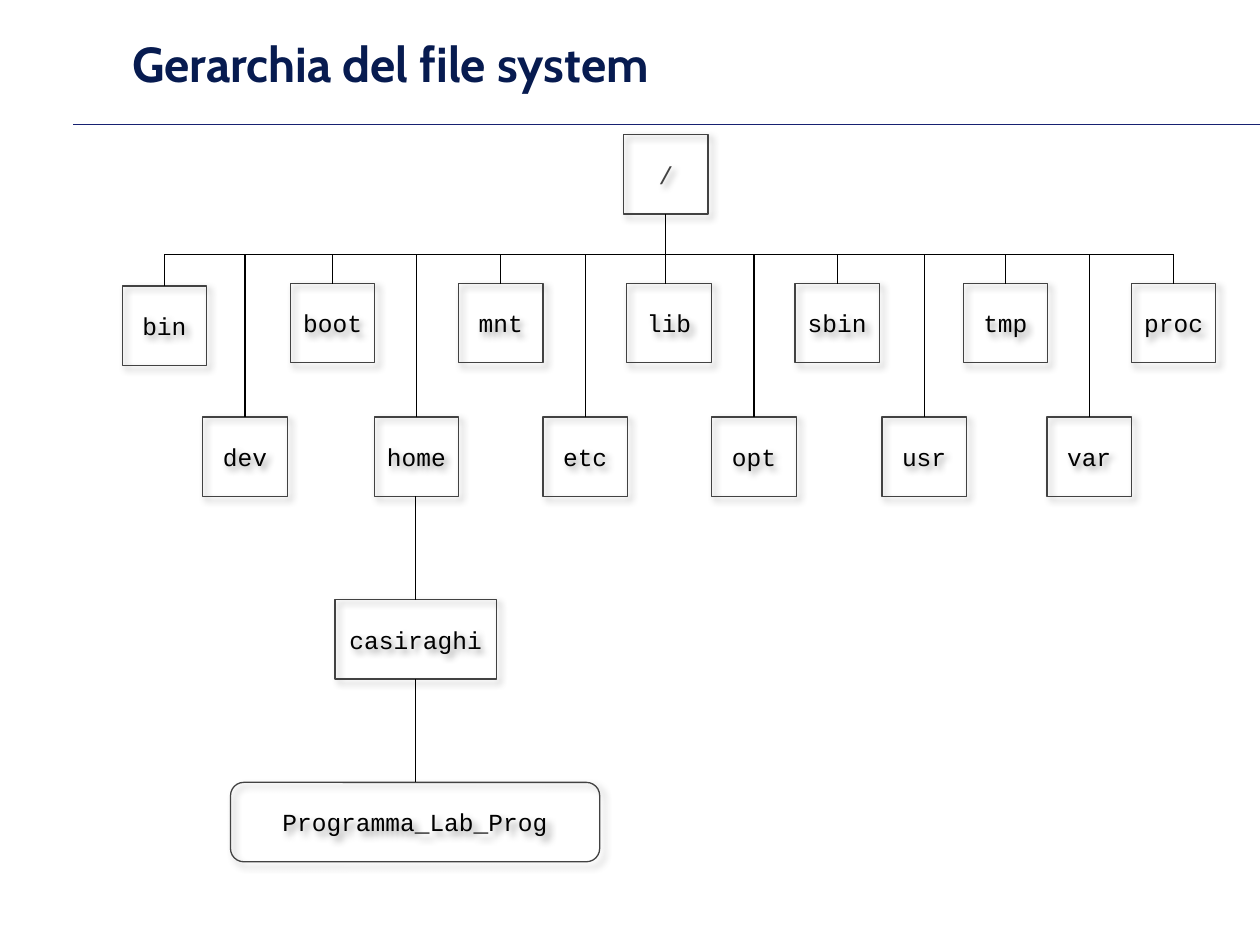
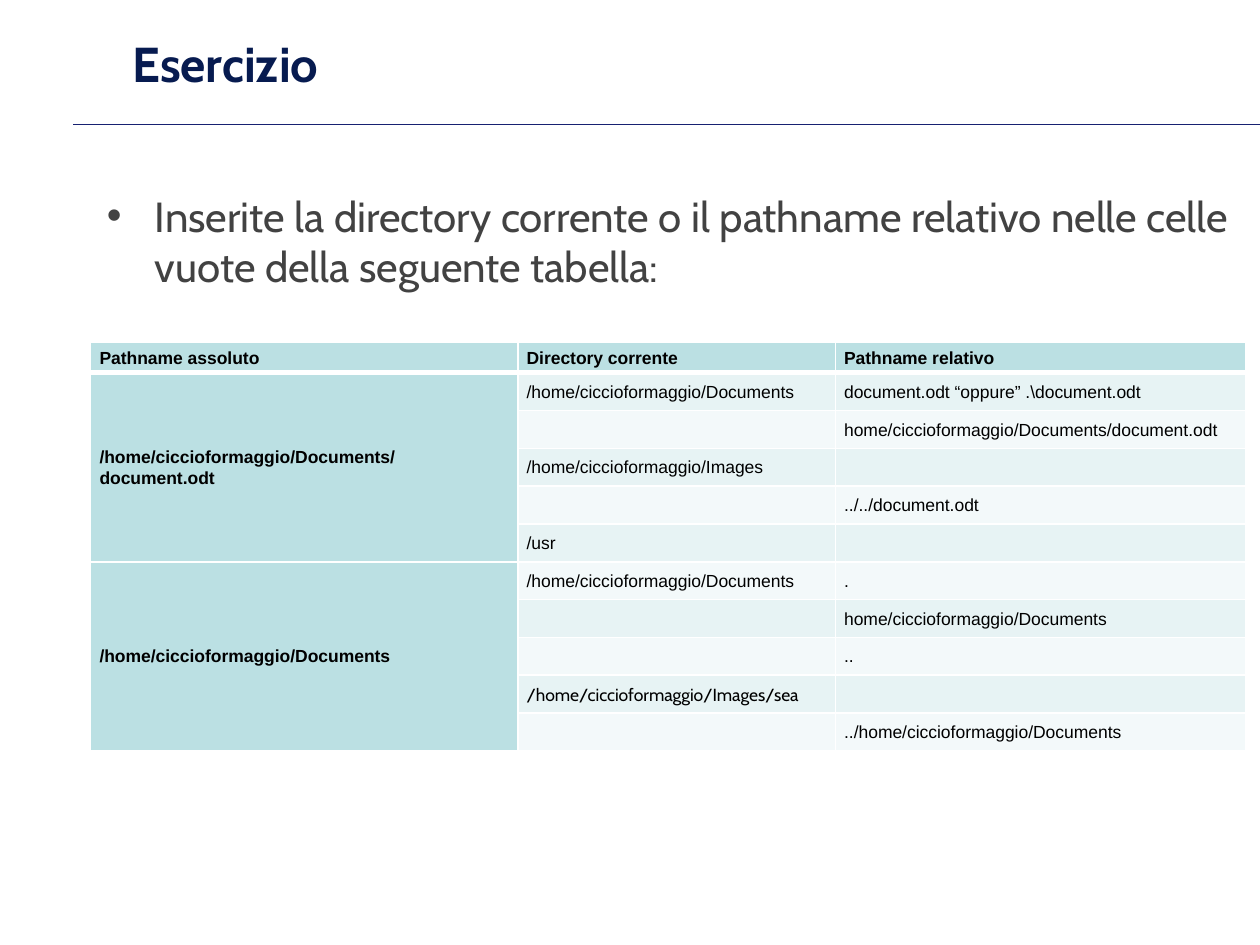
import lxml.etree
import pptx
import pptx.dml.color
import pptx.enum.shapes
import pptx.enum.text
import pptx.oxml
import pptx.oxml.ns
import pptx.util

Inches = pptx.util.Inches
Pt = pptx.util.Pt
RGBColor = pptx.dml.color.RGBColor
Shape = pptx.enum.shapes.MSO_SHAPE
Align = pptx.enum.text.PP_ALIGN
Anchor = pptx.enum.text.MSO_ANCHOR
qn = pptx.oxml.ns.qn

NAVY = RGBColor(0x07, 0x1B, 0x50)
RULE_BLUE = RGBColor(0x17, 0x21, 0x71)
GRAY = RGBColor(0x42, 0x42, 0x42)
BLACK = RGBColor(0, 0, 0)
WHITE = RGBColor(0xFF, 0xFF, 0xFF)
TEAL = RGBColor(0xBB, 0xE0, 0xE3)
BANDS = (RGBColor(0xE7, 0xF3, 0xF4), RGBColor(0xF3, 0xF9, 0xFA))

SHADOW = (
    f'<a:effectLst {pptx.oxml.ns.nsdecls("a")}>'
    '<a:outerShdw blurRad="50800" dist="38100" dir="2700000" algn="tl" rotWithShape="0">'
    '<a:srgbClr val="000000"><a:alpha val="40000"/></a:srgbClr>'
    '</a:outerShdw></a:effectLst>'
)

NODE_WIDTH, NODE_HEIGHT = 0.67, 0.63
ROOT_LEFT, ROOT_TOP = 4.95, 1.07
STEM = 5.28
BUS = 2.02
UPPER_TOP, LOWER_TOP = 2.25, 3.31
UPPER_LEFT, UPPER_PITCH = 0.97, 1.335
UPPER_NODES = ("bin", "boot", "mnt", "lib", "sbin", "tmp", "proc")
LOWER_NODES = {"dev": 1.61, "home": 2.97, "etc": 4.31, "opt": 5.65, "usr": 7, "var": 8.31}
HOME_CENTER = 3.3
USER_TOP, PROGRAM_TOP = 4.76, 6.21

DOCUMENTS = "/home/ciccioformaggio/Documents"
COLUMN_WIDTHS = (3.39, 2.52, 3.26)
HEADER_HEIGHT, ROW_HEIGHT = 0.23, 0.3
HEADINGS = ("Pathname assoluto", "Directory corrente", "Pathname relativo")
GROUPS = {
    DOCUMENTS + "/document.odt": (
        (DOCUMENTS, "document.odt “oppure” .\\document.odt"),
        ("", "home/ciccioformaggio/Documents/document.odt"),
        ("/home/ciccioformaggio/Images", ""),
        ("", "../../document.odt"),
        ("/usr", ""),
    ),
    DOCUMENTS: (
        (DOCUMENTS, "."),
        ("", "home/ciccioformaggio/Documents"),
        ("", ".."),
        ("/home/ciccioformaggio/Images/sea", ""),
        ("", "../home/ciccioformaggio/Documents"),
    ),
}


class Deck:
    """Hold the shared style and the current slide."""

    def __init__(self):
        self.presentation = pptx.Presentation()
        self.presentation.slide_width = Inches(10)
        self.presentation.slide_height = Inches(7.5)
        self.layout = self.presentation.slide_layouts[5]
        self.slide = None

    def add_slide(self, title):
        first = self.slide is None
        self.slide = self.presentation.slides.add_slide(self.layout)
        if first:
            rule = self.line(0.58, 0.99, 10, 0.99, RULE_BLUE)
            self.layout.shapes.element.append(rule.element)
        shape = self.slide.shapes.title
        shape.left, shape.top = Inches(0.95), Inches(0)
        shape.width, shape.height = Inches(8.5), Inches(1)
        frame = shape.text_frame
        frame.auto_size = pptx.enum.text.MSO_AUTO_SIZE.NONE
        frame.vertical_anchor = Anchor.MIDDLE
        frame.paragraphs[0].alignment = Align.LEFT
        self.run(frame.paragraphs[0], title, "Cabin", 28, NAVY, True)

    def run(self, paragraph, text, font, size, color, bold=False):
        run = paragraph.add_run()
        run.text = text
        run.font.name = font
        run.font.size = Pt(size)
        run.font.bold = bold
        run.font.color.rgb = color

    def line(self, x1, y1, x2, y2, color=BLACK):
        connector = self.slide.shapes.add_connector(
            pptx.enum.shapes.MSO_CONNECTOR.STRAIGHT,
            Inches(x1), Inches(y1), Inches(x2), Inches(y2))
        connector.line.color.rgb = color
        connector.line.width = Pt(0.75)
        lxml.etree.SubElement(connector.element.spPr, qn("a:effectLst"))
        return connector

    def node(self, text, left, top, width=NODE_WIDTH, kind=Shape.RECTANGLE, color=BLACK):
        shape = self.slide.shapes.add_shape(
            kind, Inches(left), Inches(top), Inches(width), Inches(NODE_HEIGHT))
        shape.fill.background()
        shape.line.color.rgb = GRAY
        shape.line.width = Pt(0.75)
        shape.element.spPr.append(pptx.oxml.parse_xml(SHADOW))
        frame = shape.text_frame
        frame.word_wrap = False
        frame.vertical_anchor = Anchor.MIDDLE
        frame.paragraphs[0].alignment = Align.CENTER
        self.run(frame.paragraphs[0], text, "Courier New", 14, color)

    def bullet(self, text, left, top, width, height):
        box = self.slide.shapes.add_textbox(
            Inches(left), Inches(top), Inches(width), Inches(height))
        box.text_frame.word_wrap = True
        paragraph = box.text_frame.paragraphs[0]
        paragraph.space_before = Pt(4.8)
        paragraph.space_after = Pt(10)
        properties = paragraph._p.get_or_add_pPr()
        properties.set("marL", str(Inches(0.38)))
        properties.set("indent", str(Inches(-0.38)))
        lxml.etree.SubElement(properties, qn("a:buFont"), typeface="Arial")
        lxml.etree.SubElement(properties, qn("a:buChar"), char="•")
        self.run(paragraph, text, "Cabin", 24, GRAY)

    def table(self, left, top, widths, heights):
        table = self.slide.shapes.add_table(
            len(heights), len(widths), Inches(left), Inches(top),
            Inches(sum(widths)), Inches(sum(heights))).table
        table.first_row = table.horz_banding = False
        for column, width in zip(table.columns, widths):
            column.width = Inches(width)
        for row, height in zip(table.rows, heights):
            row.height = Inches(height)
        return table

    def cell(self, cell, text, fill, bold=False, font="Arial", top=1, bottom=1):
        cell.fill.solid()
        cell.fill.fore_color.rgb = fill
        cell.vertical_anchor = Anchor.MIDDLE
        cell.margin_left = cell.margin_right = Inches(0.07)
        cell.margin_top = cell.margin_bottom = Inches(0.03)
        paragraph = cell.text_frame.paragraphs[0]
        paragraph.line_spacing = 1.07
        paragraph.space_after = Pt(8)
        if text:
            self.run(paragraph, text, font, 10, BLACK, bold)
        else:
            lxml.etree.SubElement(paragraph._p, qn("a:endParaRPr"), sz="1000")
        properties = cell._tc.get_or_add_tcPr()
        sides = (("L", 1), ("R", 1), ("T", top), ("B", bottom))
        for position, (side, width) in enumerate(sides):
            border = lxml.etree.Element(qn(f"a:ln{side}"), w=str(Pt(width)))
            solid = lxml.etree.SubElement(border, qn("a:solidFill"))
            lxml.etree.SubElement(solid, qn("a:srgbClr"), val=str(WHITE))
            properties.insert(position, border)


def add_hierarchy(deck):
    deck.add_slide("Gerarchia del file system")
    half = NODE_WIDTH / 2
    last_left = UPPER_LEFT + UPPER_PITCH * (len(UPPER_NODES) - 1)
    deck.node("/", ROOT_LEFT, ROOT_TOP, color=GRAY)
    deck.line(STEM, ROOT_TOP + NODE_HEIGHT, STEM, BUS)
    deck.line(UPPER_LEFT + half, BUS, last_left + half, BUS)
    for index, name in enumerate(UPPER_NODES):
        left = UPPER_LEFT + UPPER_PITCH * index
        top = UPPER_TOP + (0.02 if name == "bin" else 0)
        center = STEM if name == "lib" else left + half
        deck.node(name, left, top)
        deck.line(center, BUS, center, top)
    for name, left in LOWER_NODES.items():
        deck.node(name, left, LOWER_TOP)
        deck.line(left + half, BUS, left + half, LOWER_TOP)
    deck.node("casiraghi", 2.66, USER_TOP, 1.28)
    deck.node("Programma_Lab_Prog", 1.83, PROGRAM_TOP, 2.93, Shape.ROUNDED_RECTANGLE)
    for parent_top, child_top in ((LOWER_TOP, USER_TOP), (USER_TOP, PROGRAM_TOP)):
        deck.line(HOME_CENTER, parent_top + NODE_HEIGHT, HOME_CENTER, child_top)


def add_exercise(deck):
    deck.add_slide("Esercizio")
    deck.bullet("Inserite la directory corrente o il pathname relativo nelle celle "
                "vuote della seguente tabella:", 0.75, 1.46, 9.17, 4.5)
    row_count = sum(len(rows) for rows in GROUPS.values())
    table = deck.table(0.72, 2.72, COLUMN_WIDTHS, [HEADER_HEIGHT] + [ROW_HEIGHT] * row_count)
    for column, heading in enumerate(HEADINGS):
        deck.cell(table.cell(0, column), heading, TEAL, True, bottom=3)
    row = 1
    for absolute, rows in GROUPS.items():
        first = row
        for values in rows:
            top = 3 if row == 1 else 1
            deck.cell(table.cell(row, 0), absolute if row == first else "", TEAL, True, top=top)
            for column, text in enumerate(values, 1):
                font = "Cabin" if text.endswith("/sea") else "Arial"
                deck.cell(table.cell(row, column), text, BANDS[(row - 1) % 2], font=font, top=top)
            row += 1
        table.cell(first, 0).merge(table.cell(row - 1, 0))


def main():
    deck = Deck()
    add_hierarchy(deck)
    add_exercise(deck)
    deck.presentation.save("out.pptx")


if __name__ == "__main__":
    main()
